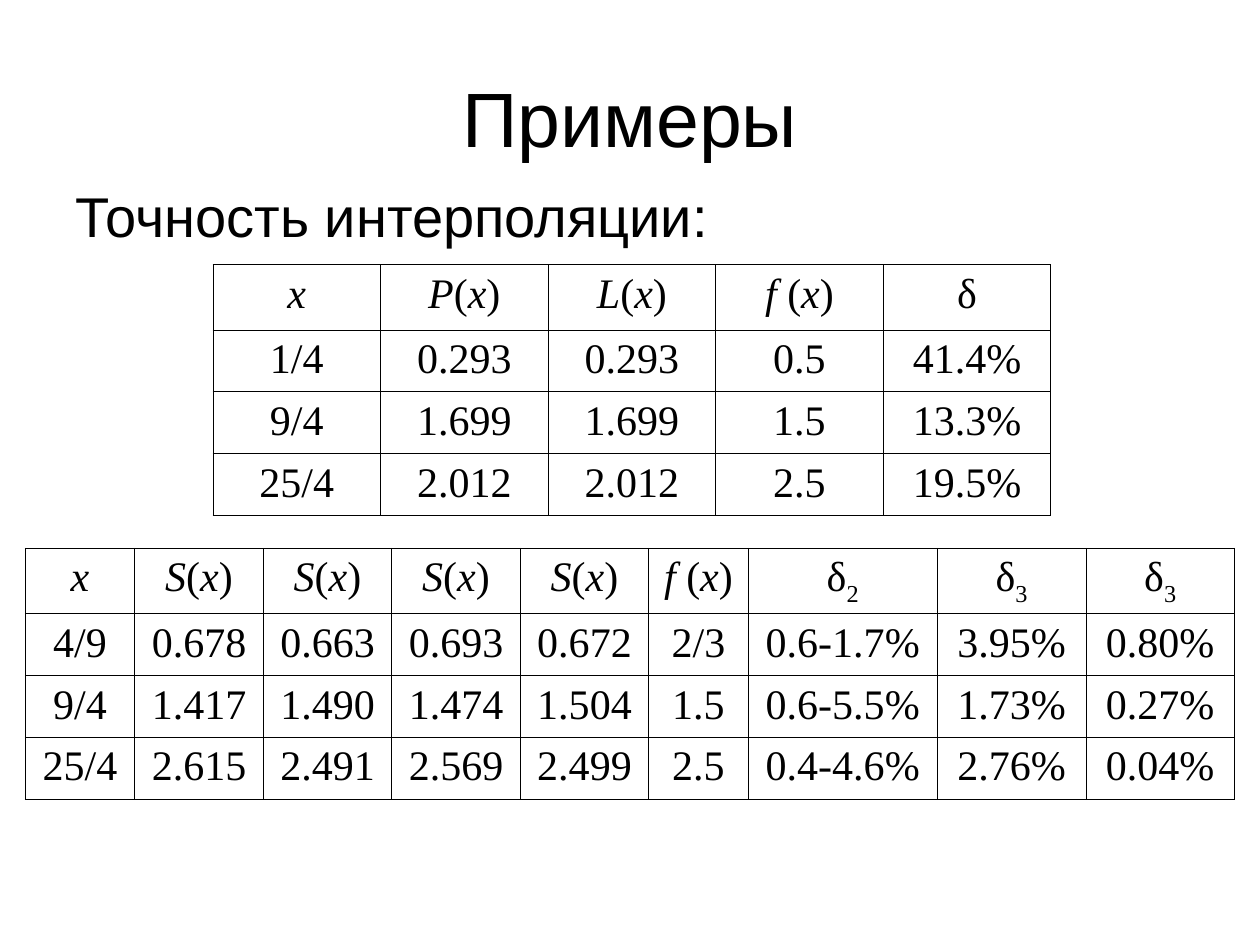
from dataclasses import dataclass

import lxml.etree
import pptx
import pptx.dml.color
import pptx.enum.text
import pptx.oxml.ns
import pptx.util

Inches = pptx.util.Inches
Pt = pptx.util.Pt
ALIGN = pptx.enum.text.PP_ALIGN
ANCHOR = pptx.enum.text.MSO_ANCHOR
qn = pptx.oxml.ns.qn

BLACK = "000000"
HEADER_HEIGHT, ROW_HEIGHT = 0.52, 0.49


@dataclass
class DataTable:
    left: float
    top: float
    widths: list[float]
    header: list[str]
    rows: list[list[str]]


def color(value: str) -> pptx.dml.color.RGBColor:
    return pptx.dml.color.RGBColor.from_string(value)


def style_paragraph(paragraph, font: str, size: float, align) -> None:
    paragraph.alignment = align
    paragraph.font.name = font
    paragraph.font.size = Pt(size)
    paragraph.font.color.rgb = color(BLACK)


def add_formula(paragraph, formula: str) -> None:
    """Set variables in italics and digits as subscripts."""
    for part in formula.replace("(", "|(|").replace(")", "|)").replace("δ", "δ|").split("|"):
        if not part:
            continue
        run = paragraph.add_run()
        run.text = part
        if part.isdigit():
            run.font._element.set("baseline", "-25000")
        elif part not in ("(", ")", "δ"):
            run.font.italic = True


def add_borders(cell, width: float) -> None:
    properties = cell._tc.get_or_add_tcPr()
    for index, side in enumerate(("a:lnL", "a:lnR", "a:lnT", "a:lnB")):
        line = lxml.etree.Element(qn(side), w=str(Pt(width)))
        fill = lxml.etree.SubElement(line, qn("a:solidFill"))
        lxml.etree.SubElement(fill, qn("a:srgbClr"), val=BLACK)
        properties.insert(index, line)


def draw_table(slide, data: DataTable) -> None:
    heights = [HEADER_HEIGHT] + [ROW_HEIGHT] * len(data.rows)
    table = slide.shapes.add_table(
        len(heights), len(data.widths), Inches(data.left), Inches(data.top),
        Inches(sum(data.widths)), Inches(sum(heights))).table
    table.first_row = False
    table.horz_banding = False
    for column, width in zip(table.columns, data.widths):
        column.width = Inches(width)
    for row, height in zip(table.rows, heights):
        row.height = Inches(height)
    for r, values in enumerate([data.header] + data.rows):
        for c, value in enumerate(values):
            cell = table.cell(r, c)
            cell.fill.background()
            add_borders(cell, 0.45)
            paragraph = cell.text_frame.paragraphs[0]
            if r == 0:
                add_formula(paragraph, value)
            else:
                paragraph.add_run().text = value
            style_paragraph(paragraph, "Times New Roman", 24, ALIGN.CENTER)


def place(shape, left: float, top: float, width: float, height: float) -> None:
    shape.left, shape.top = Inches(left), Inches(top)
    shape.width, shape.height = Inches(width), Inches(height)


POLYNOMIALS = DataTable(
    1.69, 2.1, [1.33] * 5,
    ["x", "P(x)", "L(x)", "f (x)", "δ"],
    [["1/4", "0.293", "0.293", "0.5", "41.4%"],
     ["9/4", "1.699", "1.699", "1.5", "13.3%"],
     ["25/4", "2.012", "2.012", "2.5", "19.5%"]])

SPLINES = DataTable(
    0.2, 4.35, [0.87] + [1.02] * 4 + [0.79, 1.5, 1.18, 1.18],
    ["x"] + ["S(x)"] * 4 + ["f (x)", "δ2", "δ3", "δ3"],
    [["4/9", "0.678", "0.663", "0.693", "0.672", "2/3", "0.6-1.7%", "3.95%", "0.80%"],
     ["9/4", "1.417", "1.490", "1.474", "1.504", "1.5", "0.6-5.5%", "1.73%", "0.27%"],
     ["25/4", "2.615", "2.491", "2.569", "2.499", "2.5", "0.4-4.6%", "2.76%", "0.04%"]])


def main() -> None:
    presentation = pptx.Presentation()
    presentation.slide_width, presentation.slide_height = Inches(10), Inches(7.5)
    slide = presentation.slides.add_slide(presentation.slide_layouts[1])

    # Title
    title = slide.shapes.title
    place(title, 0.5, 0.3, 9, 1.25)
    title.text_frame.text = "Примеры"
    title.text_frame.vertical_anchor = ANCHOR.MIDDLE
    style_paragraph(title.text_frame.paragraphs[0], "Arial", 44, ALIGN.CENTER)

    # Lead-in line without a bullet
    accuracy = slide.placeholders[1]
    place(accuracy, 0.5, 1.39, 9, 4.95)
    accuracy.text_frame.text = "Точность интерполяции:"
    paragraph = accuracy.text_frame.paragraphs[0]
    paragraph.space_before = Pt(0)
    properties = paragraph._p.get_or_add_pPr()
    properties.set("marL", "0")
    properties.set("indent", "0")
    lxml.etree.SubElement(properties, qn("a:buNone"))
    style_paragraph(paragraph, "Arial", 32, ALIGN.LEFT)

    # Accuracy tables
    for data in (POLYNOMIALS, SPLINES):
        draw_table(slide, data)

    presentation.save("out.pptx")


if __name__ == "__main__":
    main()
